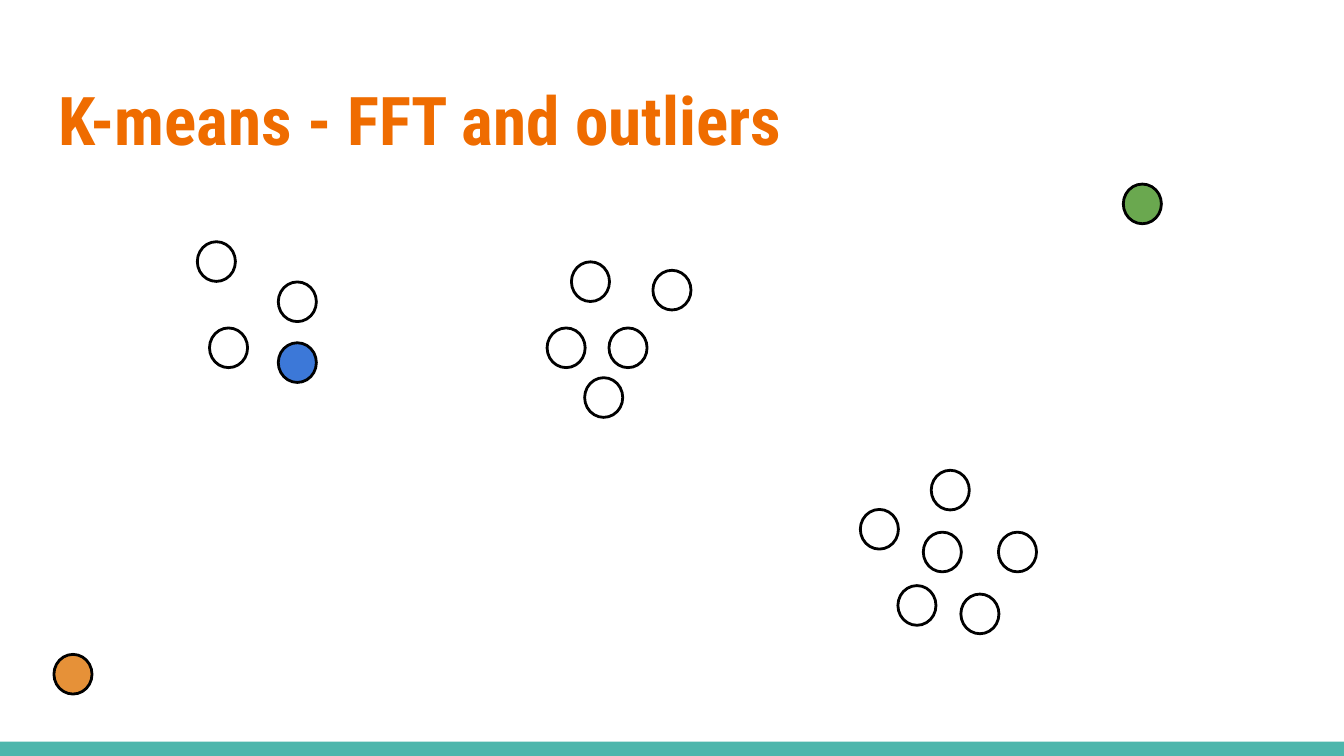
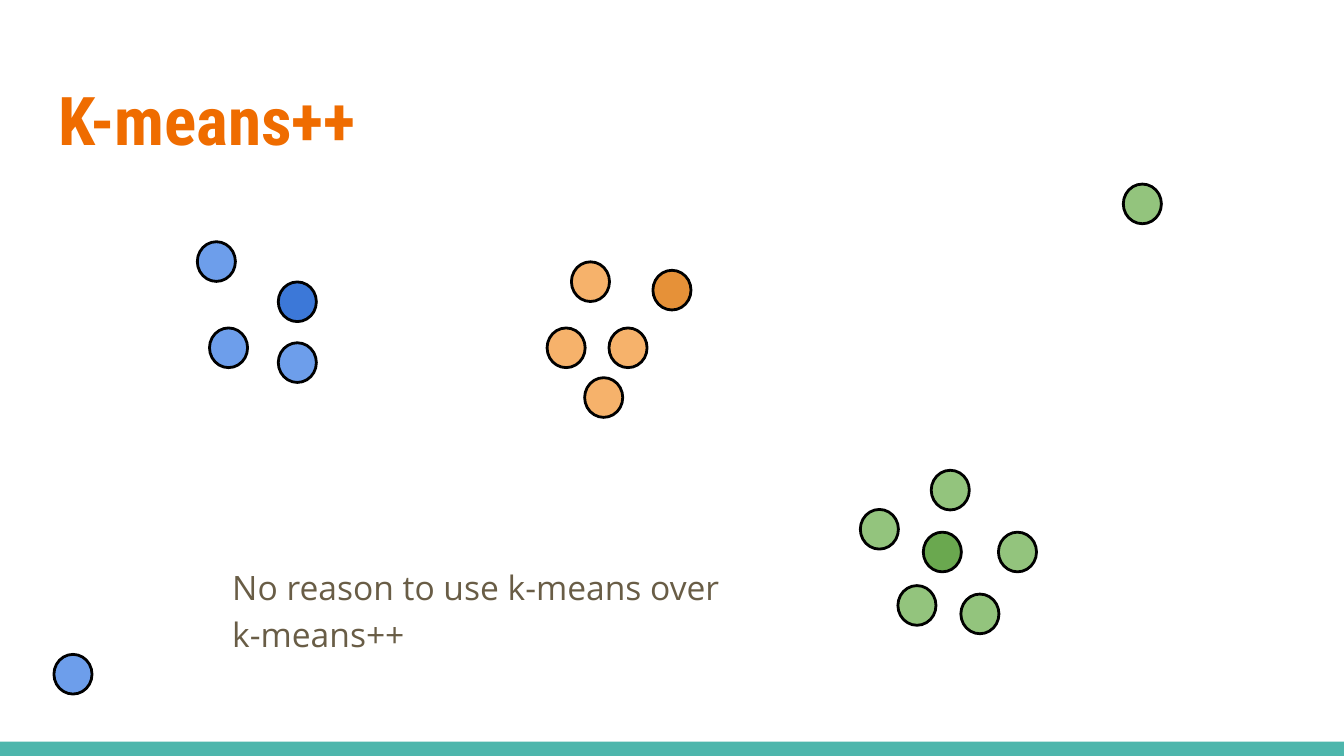
from dataclasses import dataclass

from pptx import Presentation
from pptx.dml.color import RGBColor
from pptx.enum import shapes, text
from pptx.util import Cm, Pt


@dataclass(frozen=True)
class Theme:
    title: str = "EF6C00"
    body: str = "695D46"
    band: str = "4DB6AC"
    line: str = "000000"
    head_font: str = "Roboto Condensed"
    body_font: str = "Open Sans"
    head_size: int = 36
    body_size: int = 18


theme = Theme()
deep = {"blue": "3C78D8", "orange": "E69138", "green": "6AA84F"}
pale = {"blue": "6D9EEB", "orange": "F6B26B", "green": "93C47D"}

# Left and top of every point in cm, by final cluster; outliers come last.
groups = {
    "blue": [(3.73, 4.57), (5.26, 5.33), (3.96, 6.2), (5.26, 6.48),
             (1.02, 12.37)],
    "orange": [(10.8, 4.95), (10.34, 6.2), (12.34, 5.11), (11.51, 6.2),
               (11.05, 7.14)],
    "green": [(18.16, 11.23), (18.87, 10.06), (16.97, 11.07), (17.45, 10.06),
              (17.6, 8.89), (16.26, 9.63), (21.23, 3.48)],
}

# Title, seed colour by (group, index), fills of the other points, remark.
pages = [
    ("K-means - FFT and outliers",
     {("blue", 3): "blue", ("blue", 4): "orange", ("green", 6): "green"},
     {}, None),
    ("K-means++",
     {("blue", 1): "blue", ("orange", 2): "orange", ("green", 3): "green"},
     pale, "No reason to use k-means over k-means++"),
]


def add_text(slide, words, box, font, size, color):
    frame = slide.shapes.add_textbox(*map(Cm, box)).text_frame
    frame.word_wrap = True
    frame.vertical_anchor = text.MSO_ANCHOR.TOP
    frame.margin_left = frame.margin_right = Cm(0.25)
    frame.margin_top = frame.margin_bottom = Cm(0.25)
    para = frame.paragraphs[0]
    para.text = words
    para.font.name, para.font.size = font, Pt(size)
    para.font.color.rgb = RGBColor.from_string(color)
    return para


def add_shape(slide, kind, box, fill, line=None):
    shape = slide.shapes.add_shape(kind, *map(Cm, box))
    shape.shadow.inherit = False
    if fill:
        shape.fill.solid()
        shape.fill.fore_color.rgb = RGBColor.from_string(fill)
    else:
        shape.fill.background()
    if line:
        shape.line.color.rgb = RGBColor.from_string(line)
        shape.line.width = Pt(1.5)
    else:
        shape.line.fill.background()


deck = Presentation()
deck.slide_width, deck.slide_height = Cm(25.4), Cm(14.29)

for title, seeds, fills, remark in pages:
    slide = deck.slides.add_slide(deck.slide_layouts[6])
    add_shape(slide, shapes.MSO_SHAPE.RECTANGLE, (0, 14.02, 25.4, 0.27),
              theme.band)
    head = add_text(slide, title, (0.86, 1.24, 23.67, 1.96),
                    theme.head_font, theme.head_size, theme.title)
    head.font.bold = True

    for group, points in groups.items():
        for index, (left, top) in enumerate(points):
            seed = seeds.get((group, index))
            fill = deep[seed] if seed else fills.get(group)
            add_shape(slide, shapes.MSO_SHAPE.OVAL, (left, top, 0.72, 0.75),
                      fill, theme.line)

    if remark:
        para = add_text(slide, remark, (4.14, 10.36, 9.86, 2.26),
                        theme.body_font, theme.body_size, theme.body)
        para.line_spacing = 1.15
        para.space_after = Pt(16)

deck.save("out.pptx")
